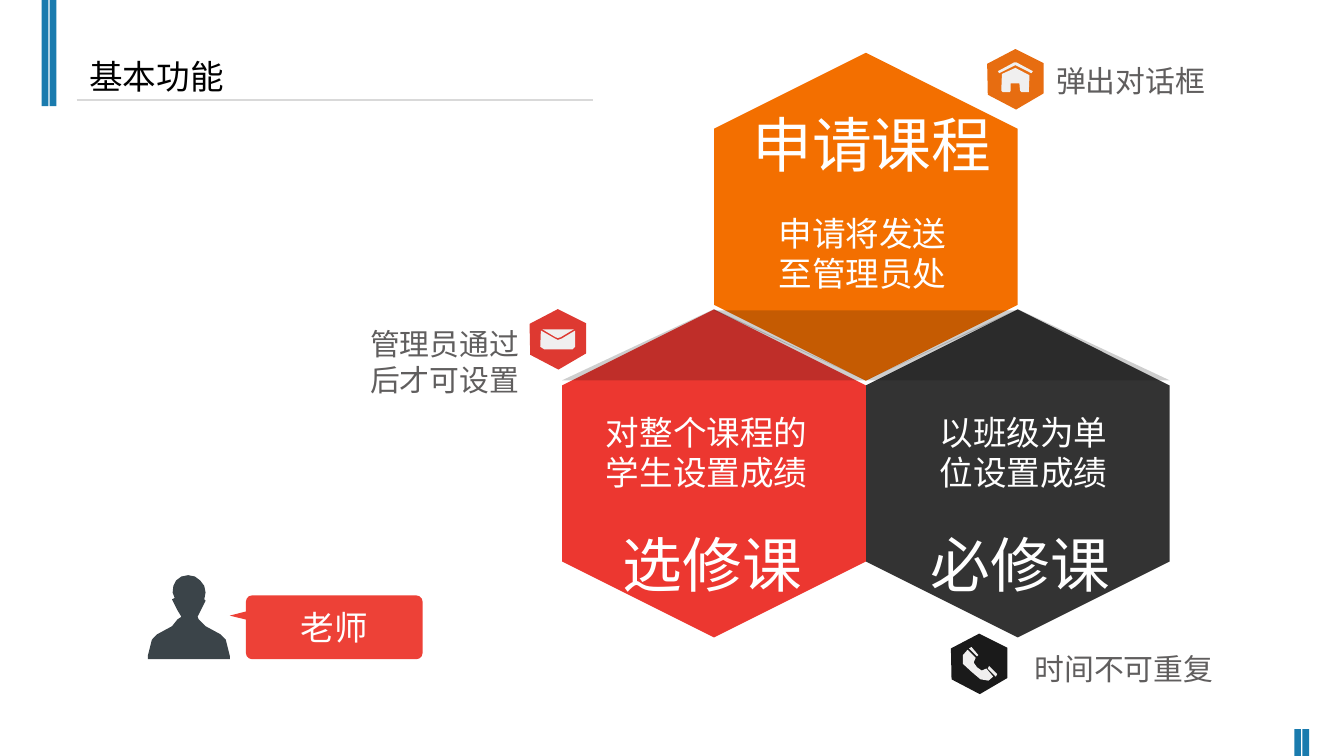
from lxml.etree import SubElement
from pptx import Presentation
from pptx.dml.color import RGBColor
from pptx.enum.shapes import MSO_CONNECTOR, MSO_SHAPE
from pptx.enum.text import MSO_ANCHOR, MSO_AUTO_SIZE, PP_ALIGN
from pptx.oxml.ns import qn
from pptx.util import Inches, Pt

WIDTH, HEIGHT = 100, 56.25
BLUE, RED, ORANGE, DARK = "1A7BAE", "EC3730", "F36F00", "333333"
CALLOUT, PERSON, ICON, SHADE = "ED4137", "3B4449", "F0EFEF", "0D0D0D"
WHITE, GREY, BLACK, RULE = "FFFFFF", "605E5E", "000000", "D9D9D9"

HEX_COL, HEX_ROW, HEX_X, HEX_Y = 11.3, 19.1, 64.43, 16.13
HEXAGONS = [(1, 1, DARK), (-1, 1, RED), (0, 0, ORANGE)]
SHADES = [(1, 23, 28.3), (-1, 23, 28.3), (0, 28.3, 23.1)]

BADGE = [(-2.1, -1.15), (0, -2.25), (2.1, -1.2), (2.1, 1.05), (0.05, 2.25), (-2.05, 1.15)]
HOUSE = [
    [(0, -0.85), (-1, -0.4), (-1.05, 0.85), (-0.95, 0.95), (-0.4, 0.95), (-0.35, 0.85),
     (-0.35, 0.3), (0.3, 0.3), (0.35, 0.85), (0.45, 0.95), (1, 0.95), (1.05, -0.3)],
    [(-1.3, -0.6), (-0.1, -1.25), (0.1, -1.25), (1.3, -0.6), (1.2, -0.45), (0, -1.05),
     (-1.2, -0.45)],
]
PHONE = [
    [(0.55, 0.35), (0.2, 0.5), (-0.15, 0.25), (-0.4, -0.1), (-0.25, -0.45), (-0.85, -1.05),
     (-1.2, -0.65), (-1.2, 0), (-0.55, 0.6), (0.1, 1.15), (0.7, 1.25), (1.05, 0.95)],
    [(1.35, 0.75), (1.25, 0.95), (0.65, 0.35), (0.75, 0.15)],
    [(-0.05, -0.65), (-0.15, -0.55), (-0.75, -1.15), (-0.55, -1.25)],
]
MAIL = [
    [(-1.15, -0.75), (1.2, -0.75), (0.2, -0.15), (0, -0.1), (-0.15, -0.15)],
    [(-1.25, -0.65), (-0.2, -0.05), (0, 0.05), (0.3, -0.05), (1.3, -0.65), (1.3, 0.55),
     (1.1, 0.75), (-1, 0.75), (-1.3, 0.55)],
]
BADGES = [(75.55, 5.9, "E76D11", HOUSE), (72.85, 49.4, "1A1A1A", PHONE),
          (41.5, 25.25, "DE3931", MAIL)]

TEACHER = [
    (16.8, 47.6), (16.4, 47.2), (15.3, 46.6), (14.8, 46.1), (14.7, 45.9), (15, 45.3),
    (15.1, 45.1), (15.3, 44.7), (15.2, 44.6), (15.3, 44.1), (15.2, 43.6), (14.9, 43.2),
    (14.5, 42.9), (14, 42.8), (13.5, 42.9), (13.1, 43.2), (12.9, 43.6), (12.85, 44.1),
    (13, 44.5), (12.8, 44.6), (13, 45), (13.1, 45.2), (13.2, 45.4), (13.5, 45.9),
    (13.2, 46.1), (12.8, 46.6), (11.7, 47.2), (11.3, 47.6), (11, 48.8), (11, 49.05),
    (17.1, 49.05), (17.1, 48.8),
]

HEADING, DETAIL, NOTE = ("Roboto Condensed", 32, WHITE), ("Courier New", 18, WHITE), ("Arial", 16, GREY)
LEFT, CENTER, RIGHT = PP_ALIGN.LEFT, PP_ALIGN.CENTER, PP_ALIGN.RIGHT
LABELS = [
    ("弹出对话框", (77.6, 4.2, 16.2, 3.7), NOTE, LEFT, True),
    ("时间不可重复", (76, 47.95, 16.2, 3.7), NOTE, LEFT, True),
    ("管理员通过后才可设置", (24.9, 23.75, 14.7, 6.4), NOTE, RIGHT, True),
    ("申请课程", (55, 7.55, 20, 6.4), HEADING, LEFT, False),
    ("必修课", (68.25, 38.8, 15.5, 6.4), HEADING, LEFT, False),
    ("选修课", (45.35, 38.8, 15.5, 6.4), HEADING, LEFT, False),
    ("申请将发送至管理员处", (56.95, 15.35, 14.6, 7.1), DETAIL, LEFT, True),
    ("对整个课程的学生设置成绩", (44.1, 30.15, 18.2, 7.1), DETAIL, LEFT, True),
    ("以班级为单位设置成绩", (68.75, 30.15, 14.8, 7.1), DETAIL, CENTER, True),
]


def cells(*counts):
    return [Inches(n / 10) for n in counts]


def rgb(color):
    return RGBColor.from_string(color)


def paint(sp, color):
    sp.shadow.inherit = False
    sp.fill.solid()
    sp.fill.fore_color.rgb = rgb(color)
    sp.line.fill.background()


def add_preset(s, kind, box, color, rotation=0):
    sp = s.shapes.add_shape(kind, *cells(*box))
    sp.rotation = rotation
    paint(sp, color)
    return sp


def add_outline(s, points, color, x=0, y=0):
    spots = [((x + dx) * 100, (y + dy) * 100) for dx, dy in points]
    builder = s.shapes.build_freeform(*spots[0], scale=Inches(0.1) / 100)
    builder.add_line_segments(spots[1:], close=True)
    sp = builder.convert_to_shape()
    paint(sp, color)
    return sp


def write(sp, text, style, align, wrap=True):
    name, size, color = style
    tf = sp.text_frame
    tf.word_wrap = wrap
    p = tf.paragraphs[0]
    p.alignment = align
    p.add_run().text = text
    p.font.name, p.font.size = name, Pt(size)
    p.font.color.rgb = rgb(color)


def add_label(s, text, box, style, align, wrap):
    sp = s.shapes.add_textbox(*cells(*box))
    write(sp, text, style, align, wrap)


def add_title(s):
    sp = s.shapes.title
    sp.left, sp.top, sp.width, sp.height = cells(5.65, 3.65, 12.1, 4)
    write(sp, "基本功能", ("Arial", 18, BLACK), LEFT, False)
    sp.text_frame.auto_size = MSO_AUTO_SIZE.NONE
    sp.text_frame.vertical_anchor = MSO_ANCHOR.TOP


def add_frame(s):
    for x in (3.1, 3.7):
        add_preset(s, MSO_SHAPE.RECTANGLE, (x, 0, 0.5, 7.9), BLUE)
        add_preset(s, MSO_SHAPE.RECTANGLE, (WIDTH - x, HEIGHT - 2, 0.5, 2), BLUE, 180)
    rule = s.shapes.add_connector(MSO_CONNECTOR.STRAIGHT, *cells(5.7, 7.45, 44.1, 7.45))
    rule.line.color.rgb = rgb(RULE)
    rule.line.width = Pt(0.75)
    SubElement(rule._element.spPr, qn("a:effectLst"))


def add_hexagons(s):
    w, h = 24.4, 2 * HEX_COL
    for col, row, color in HEXAGONS:
        x, y = HEX_X + col * HEX_COL, HEX_Y + row * HEX_ROW
        add_preset(s, MSO_SHAPE.HEXAGON, (x - w / 2, y - h / 2, w, h), color, 270)


def add_shades(s):
    for col, tip, base in SHADES:
        x = HEX_X + col * HEX_COL
        sp = add_outline(s, [(x, tip), (x + HEX_COL, base), (x - HEX_COL, base)], SHADE)
        color = sp._element.spPr.find(qn("a:solidFill"))[0]
        SubElement(color, qn("a:alpha"), val="20000")


def add_badges(s):
    for x, y, color, icon in BADGES:
        add_outline(s, BADGE, color, x, y)
        for part in icon:
            add_outline(s, part, ICON, x, y)


def add_teacher(s):
    add_outline(s, TEACHER, PERSON)
    sp = add_preset(s, MSO_SHAPE.ROUNDED_RECTANGLE, (18.3, 44.3, 13.15, 4.75), CALLOUT)
    sp.adjustments[0] = 0.1
    write(sp, "老师", ("Noto Sans CJK SC", 18, WHITE), CENTER)
    tf = sp.text_frame
    tf.vertical_anchor = MSO_ANCHOR.MIDDLE
    tf.margin_left = tf.margin_right = tf.margin_top = tf.margin_bottom = 0
    add_preset(s, MSO_SHAPE.ISOSCELES_TRIANGLE, (17.5, 45, 0.8, 1.6), CALLOUT, 270)


def main():
    prs = Presentation()
    prs.slide_width, prs.slide_height = cells(WIDTH, HEIGHT)
    s = prs.slides.add_slide(prs.slide_layouts[5])
    add_frame(s)
    add_title(s)
    add_hexagons(s)
    add_badges(s)
    add_shades(s)
    for label in LABELS:
        add_label(s, *label)
    add_teacher(s)
    prs.save("out.pptx")


if __name__ == "__main__":
    main()
